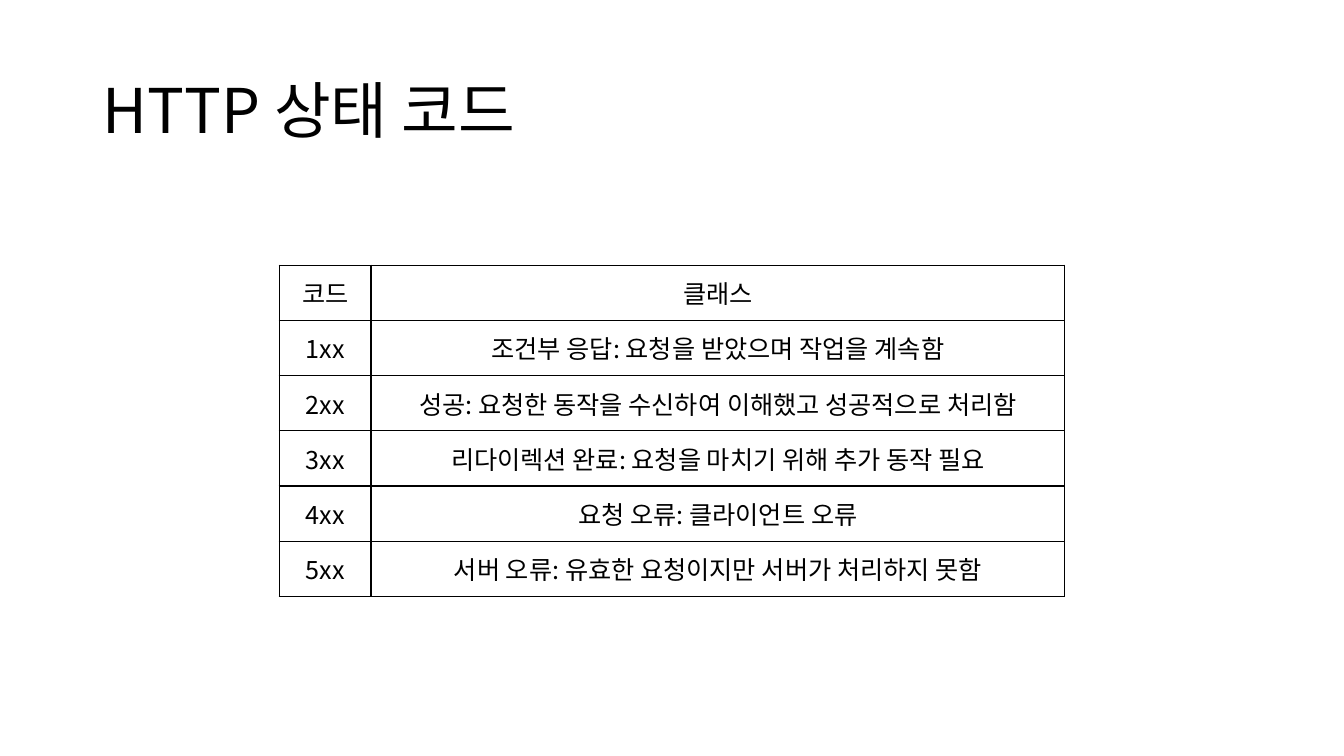
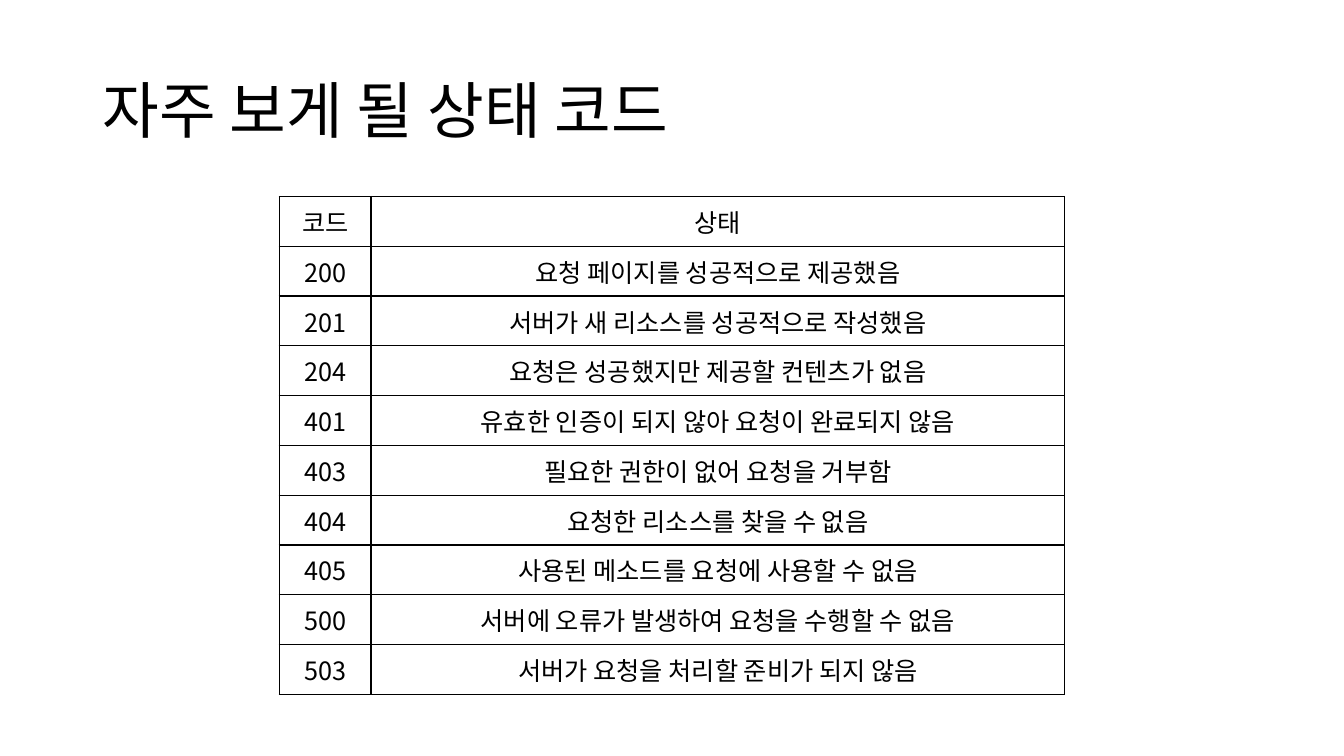
from lxml import etree
from pptx import Presentation
from pptx.dml.color import RGBColor
from pptx.enum.text import MSO_ANCHOR, PP_ALIGN
from pptx.oxml.ns import qn
from pptx.util import Inches, Pt

MIDDLE = MSO_ANCHOR.MIDDLE
LEFT, CENTER = PP_ALIGN.LEFT, PP_ALIGN.CENTER
COLORS = {"page": "FFFFFF", "text": "000000", "border": "000000"}
FONT = "Noto Sans CJK KR"
TITLE = {"font": {"size": Pt(44), "name": FONT}, "para": {"alignment": LEFT, "line_spacing": 0.9}}
CELL = {"font": {"size": Pt(18), "name": FONT}, "para": {"alignment": CENTER}}
BORDER_SIDES = ("a:lnL", "a:lnR", "a:lnT", "a:lnB")
TABLE_LEFT = 2.77
COLUMN_WIDTHS = (0.91, 6.88)

CLASS_ROWS = [
    ("코드", "클래스"),
    ("1xx", "조건부 응답: 요청을 받았으며 작업을 계속함"),
    ("2xx", "성공: 요청한 동작을 수신하여 이해했고 성공적으로 처리함"),
    ("3xx", "리다이렉션 완료: 요청을 마치기 위해 추가 동작 필요"),
    ("4xx", "요청 오류: 클라이언트 오류"),
    ("5xx", "서버 오류: 유효한 요청이지만 서버가 처리하지 못함"),
]
STATUS_ROWS = [
    ("코드", "상태"),
    ("200", "요청 페이지를 성공적으로 제공했음"),
    ("201", "서버가 새 리소스를 성공적으로 작성했음"),
    ("204", "요청은 성공했지만 제공할 컨텐츠가 없음"),
    ("401", "유효한 인증이 되지 않아 요청이 완료되지 않음"),
    ("403", "필요한 권한이 없어 요청을 거부함"),
    ("404", "요청한 리소스를 찾을 수 없음"),
    ("405", "사용된 메소드를 요청에 사용할 수 없음"),
    ("500", "서버에 오류가 발생하여 요청을 수행할 수 없음"),
    ("503", "서버가 요청을 처리할 준비가 되지 않음"),
]


class Deck:
    """Hold the shared style and the current page."""

    def __init__(self):
        self.deck = Presentation()
        self.deck.slide_width = Inches(13.33)
        self.deck.slide_height = Inches(7.5)
        self.page = None

    def color(self, name):
        return RGBColor.from_string(COLORS[name])

    def add_page(self, title):
        self.page = self.deck.slides.add_slide(self.deck.slide_layouts[6])
        fill = self.page.background.fill
        fill.solid()
        fill.fore_color.rgb = self.color("page")
        box = self.page.shapes.add_textbox(Inches(0.92), Inches(0.4), Inches(11.5), Inches(1.45))
        box.text_frame.word_wrap = True
        box.text_frame.vertical_anchor = MIDDLE
        self.add_text(box.text_frame, title, TITLE)

    def add_text(self, frame, text, style):
        para = frame.paragraphs[0]
        span = para.add_run()
        span.text = text
        for target, values in ((para, style["para"]), (span.font, style["font"])):
            for name, value in values.items():
                setattr(target, name, value)
        span.font.color.rgb = self.color("text")
        etree.SubElement(span._r.get_or_add_rPr(), qn("a:ea"), typeface=FONT)

    def add_borders(self, cell):
        properties = cell._tc.get_or_add_tcPr()
        for position, side in enumerate(BORDER_SIDES):
            line = etree.Element(qn(side), w=str(Pt(1)))
            fill = etree.SubElement(line, qn("a:solidFill"))
            etree.SubElement(fill, qn("a:srgbClr"), val=COLORS["border"])
            properties.insert(position, line)

    def add_table(self, rows, top, height):
        frame = self.page.shapes.add_table(
            len(rows), len(COLUMN_WIDTHS), Inches(TABLE_LEFT), Inches(top),
            Inches(sum(COLUMN_WIDTHS)), Inches(height))
        table = frame.table
        table.first_row = table.horz_banding = False
        for column, width in zip(table.columns, COLUMN_WIDTHS):
            column.width = Inches(width)
        for row, texts in zip(table.rows, rows):
            row.height = Inches(height / len(rows))
            for cell, text in zip(row.cells, texts):
                cell.fill.background()
                cell.vertical_anchor = MIDDLE
                self.add_text(cell.text_frame, text, CELL)
                self.add_borders(cell)


deck = Deck()
deck.add_page("HTTP 상태 코드")
deck.add_table(CLASS_ROWS, 2.63, 3.29)
deck.add_page("자주 보게 될 상태 코드")
deck.add_table(STATUS_ROWS, 1.95, 4.94)
deck.deck.save("out.pptx")
